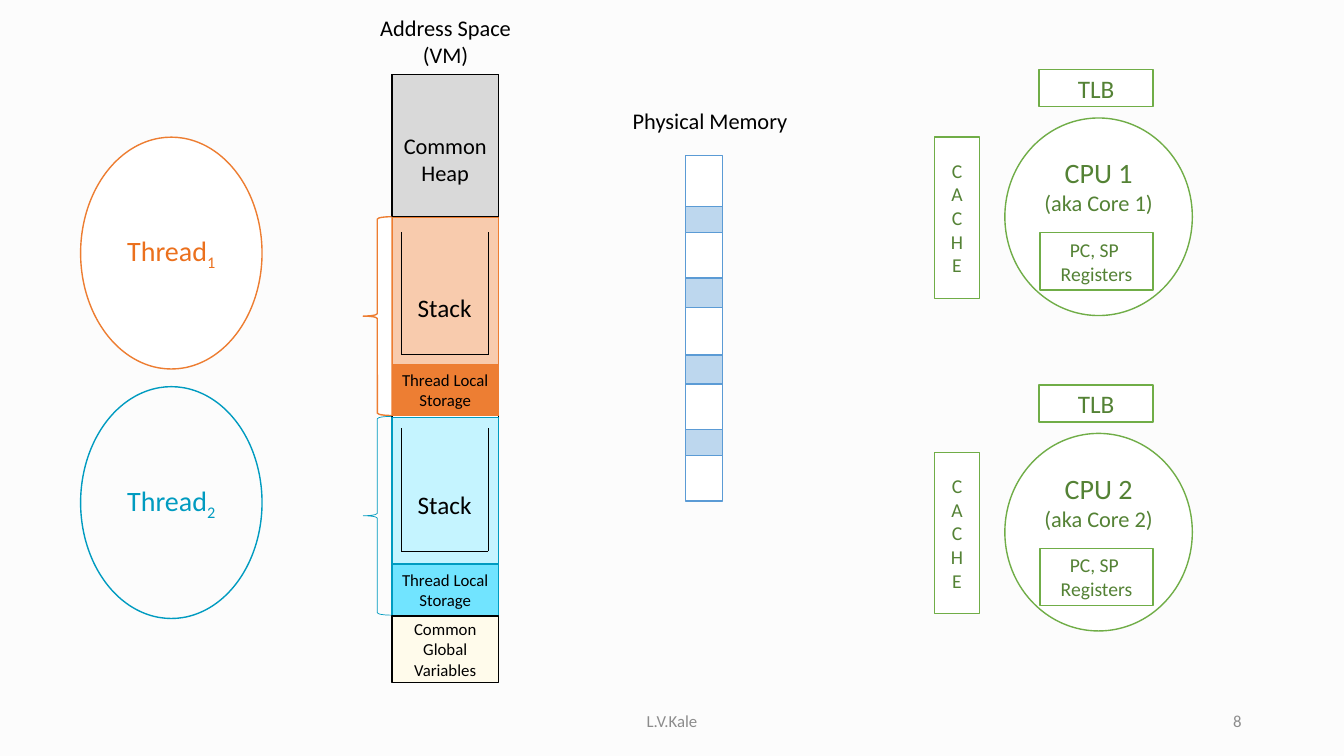
from lxml.etree import SubElement
from pptx import Presentation
from pptx.dml.color import RGBColor
from pptx.enum.shapes import MSO_CONNECTOR, MSO_SHAPE
from pptx.enum.text import MSO_ANCHOR, PP_ALIGN
from pptx.oxml.ns import qn
from pptx.util import Pt

BLACK, WHITE, GRAY = "000000", "FFFFFF", "8C8C8C"
ORANGE, TEAL, BLUE = "ED7D31", "009BC0", "5B9BD5"
GREEN, DARK_GREEN = "70AD47", "548235"


def color(value):
    return RGBColor.from_string(value)


def write(shape, *lines, size=16, ink=BLACK, align=PP_ALIGN.CENTER,
          anchor=MSO_ANCHOR.MIDDLE, margins=(7.2, 3.6, 7.2, 3.6)):
    """Write one paragraph per line; a line is text or a list of (text, size, baseline)."""
    frame = shape.text_frame
    frame.word_wrap = True
    frame.vertical_anchor = anchor
    (frame.margin_left, frame.margin_top,
     frame.margin_right, frame.margin_bottom) = map(Pt, margins)
    for index, line in enumerate(lines):
        para = frame.add_paragraph() if index else frame.paragraphs[0]
        para.alignment = align
        for text, points, baseline in [(line, size, 0)] if isinstance(line, str) else line:
            span = para.add_run()
            span.text = text
            span.font.name = "Calibri"
            span.font.size = Pt(points)
            span.font.color.rgb = color(ink)
            if baseline:
                span.font._element.set("baseline", str(baseline))
    return shape


def add_shape(page, kind, left, top, width, height, fill=WHITE, line=BLACK, weight=1):
    shape = page.shapes.add_shape(kind, Pt(left), Pt(top), Pt(width), Pt(height))
    shape.shadow.inherit = False
    if fill:
        shape.fill.solid()
        shape.fill.fore_color.rgb = color(fill)
    else:
        shape.fill.background()
    shape.line.color.rgb = color(line)
    shape.line.width = Pt(weight)
    return shape


def add_rectangle(page, *place, **style):
    return add_shape(page, MSO_SHAPE.RECTANGLE, *place, **style)


def add_label(page, left, top, width, height, *lines, **style):
    box = page.shapes.add_textbox(Pt(left), Pt(top), Pt(width), Pt(height))
    return write(box, *lines, **style)


def add_line(page, start, end):
    line = page.shapes.add_connector(MSO_CONNECTOR.STRAIGHT, *map(Pt, start + end))
    line.line.color.rgb = color(BLACK)
    line.line.width = Pt(0.5)
    SubElement(line._element.spPr, qn("a:effectLst"))


def add_thread(page, left, top, number, fill, line, ink):
    oval = add_shape(page, MSO_SHAPE.OVAL, left, top, 129.6, 165.6, fill=fill, line=line)
    write(oval, [("Thread", 20, 0), (str(number), 20, -25000)], ink=ink)


def add_stack_frame(page, left, top):
    """Draw a box that is open at the top, with its label."""
    right, bottom = left + 61.9, top + 87.8
    corners = [(left, top), (left, bottom), (right, bottom), (right, top)]
    for start, end in zip(corners, corners[1:]):
        add_line(page, start, end)
    add_label(page, left, top + 39.6, 61.9, 34.6, "Stack", size=18, anchor=MSO_ANCHOR.TOP)


def add_thread_memory(page, left, top, frame_offset, stack_fill, storage_fill,
                      line, brace_fill, brace_weight):
    add_rectangle(page, left, top + 0.8, 76, 105, fill=stack_fill, line=line)
    storage = add_rectangle(page, left, top + 105.4, 76, 36.7, fill=storage_fill, line=line)
    write(storage, "Thread Local Storage", size=12, margins=(5, 3.6, 5, 3.6))
    add_shape(page, MSO_SHAPE.LEFT_BRACE, left - 20.6, top, 20.2, 142,
              fill=brace_fill, line=line, weight=brace_weight)
    add_stack_frame(page, left + 6.6, top + frame_offset)


def add_address_space(page, left, top):
    add_label(page, left - 20, top - 46.8, 116.6, 46, "Address Space", "(VM)",
              anchor=MSO_ANCHOR.TOP)
    add_rectangle(page, left, top, 76, 433.4)
    heap = add_rectangle(page, left, top, 76, 101.5, fill="D9D9D9")
    write(heap, "Common Heap", margins=(5, 23, 5, 3.6))
    add_thread_memory(page, left, top + 101.5, 10.8, "F8CBAD", "ED7E33", ORANGE, WHITE, 1)
    add_thread_memory(page, left, top + 244.1, 8.6, "C5F4FF", "71E4FF", TEAL, None, 0.5)
    variables = add_rectangle(page, left, top + 386.7, 76, 47.5, fill="FFFBEB")
    write(variables, "Common Global Variables", size=12)


def add_physical_memory(page, left, top):
    add_label(page, left - 49, top - 38.2, 133.2, 26.6, "Physical Memory",
              anchor=MSO_ANCHOR.TOP)
    add_rectangle(page, left, top, 26.6, 247, line=BLUE)
    for offset, height in ((36.7, 18.7), (87.8, 20.9), (142.6, 20.9), (195.8, 18.7)):
        add_rectangle(page, left, top + offset, 26.6, height, fill="BDD7EE", line=BLUE)


def add_processor(page, left, top, number):
    core = add_shape(page, MSO_SHAPE.OVAL, left + 50.4, top + 34.6, 133.9, 141.1, line=GREEN)
    write(core, f"CPU {number}", [(f"(aka Core {number})", 16, 0)], size=20,
          ink=DARK_GREEN, margins=(5, 3.6, 5, 47.5))
    buffer = add_rectangle(page, left + 74.9, top, 81.4, 26.6, line=GREEN)
    write(buffer, "TLB", size=18, ink=DARK_GREEN)
    registers = add_rectangle(page, left + 75.6, top + 116.6, 80.6, 41, line=GREEN)
    write(registers, "PC, SP ", "Registers", size=14, ink=DARK_GREEN)
    cache = add_rectangle(page, left, top + 48.2, 32.4, 115.2, line=GREEN)
    write(cache, "CACHE", size=14, ink=DARK_GREEN)
    cache.text_frame._txBody.bodyPr.set("vert", "wordArtVert")


def add_footer(page, top):
    add_label(page, 318, top, 324, 28.8, "L.V.Kale", size=12, ink=GRAY)
    add_label(page, 678, top, 216, 28.8, "8", size=12, ink=GRAY, align=PP_ALIGN.RIGHT)


def main():
    deck = Presentation()
    deck.slide_width, deck.slide_height = Pt(960), Pt(540)
    page = deck.slides.add_slide(deck.slide_layouts[6])
    page.background.fill.solid()
    page.background.fill.fore_color.rgb = color("FCFCFC")

    add_thread(page, 57.6, 98, 1, WHITE, ORANGE, "EB701D")
    add_thread(page, 57.6, 276.2, 2, None, TEAL, TEAL)
    add_address_space(page, 280, 53.3)
    add_physical_memory(page, 489.6, 110.9)
    for number, top in enumerate((49.7, 275), start=1):
        add_processor(page, 667.4, top, number)
    add_footer(page, 500.4)
    deck.save("out.pptx")


if __name__ == "__main__":
    main()
